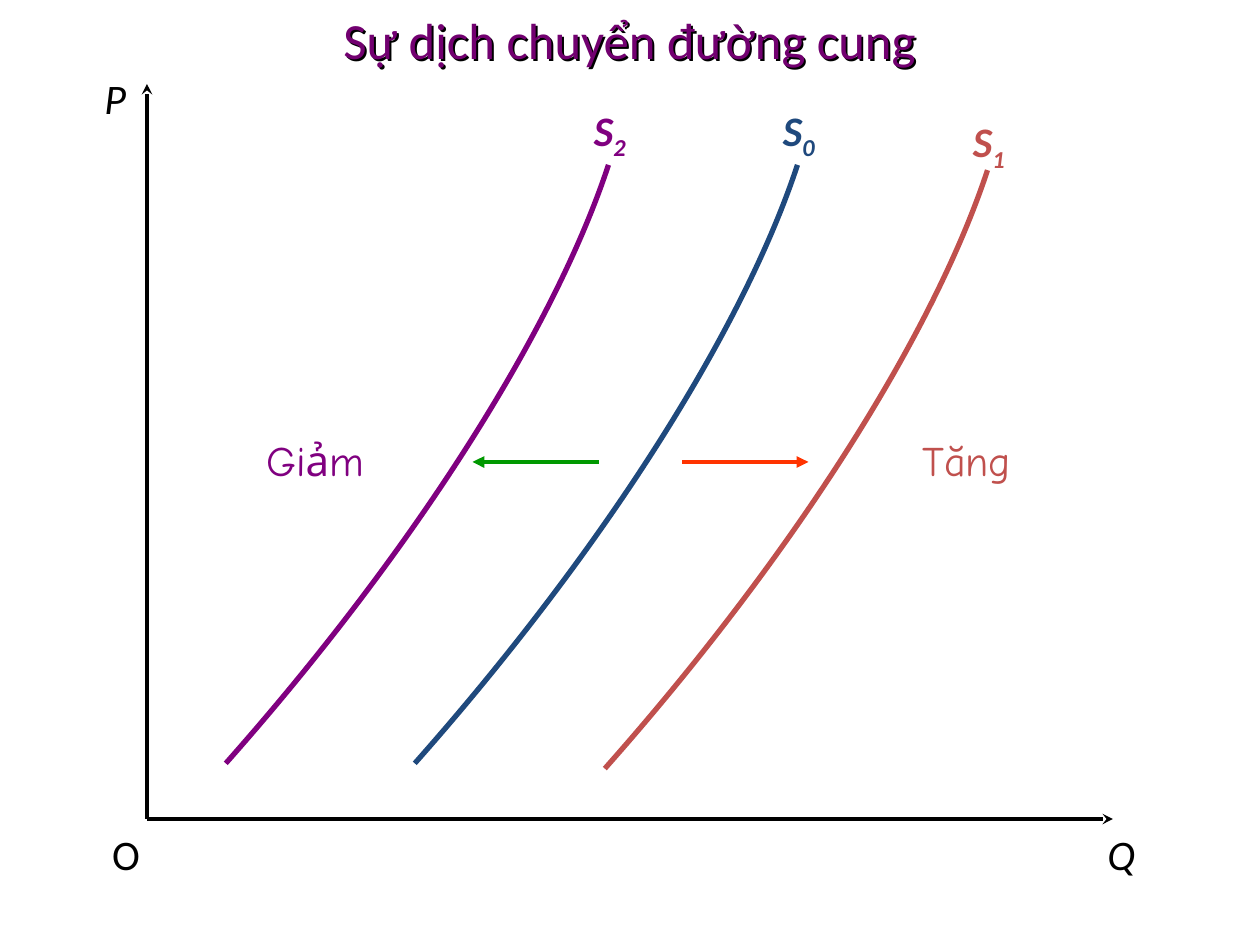
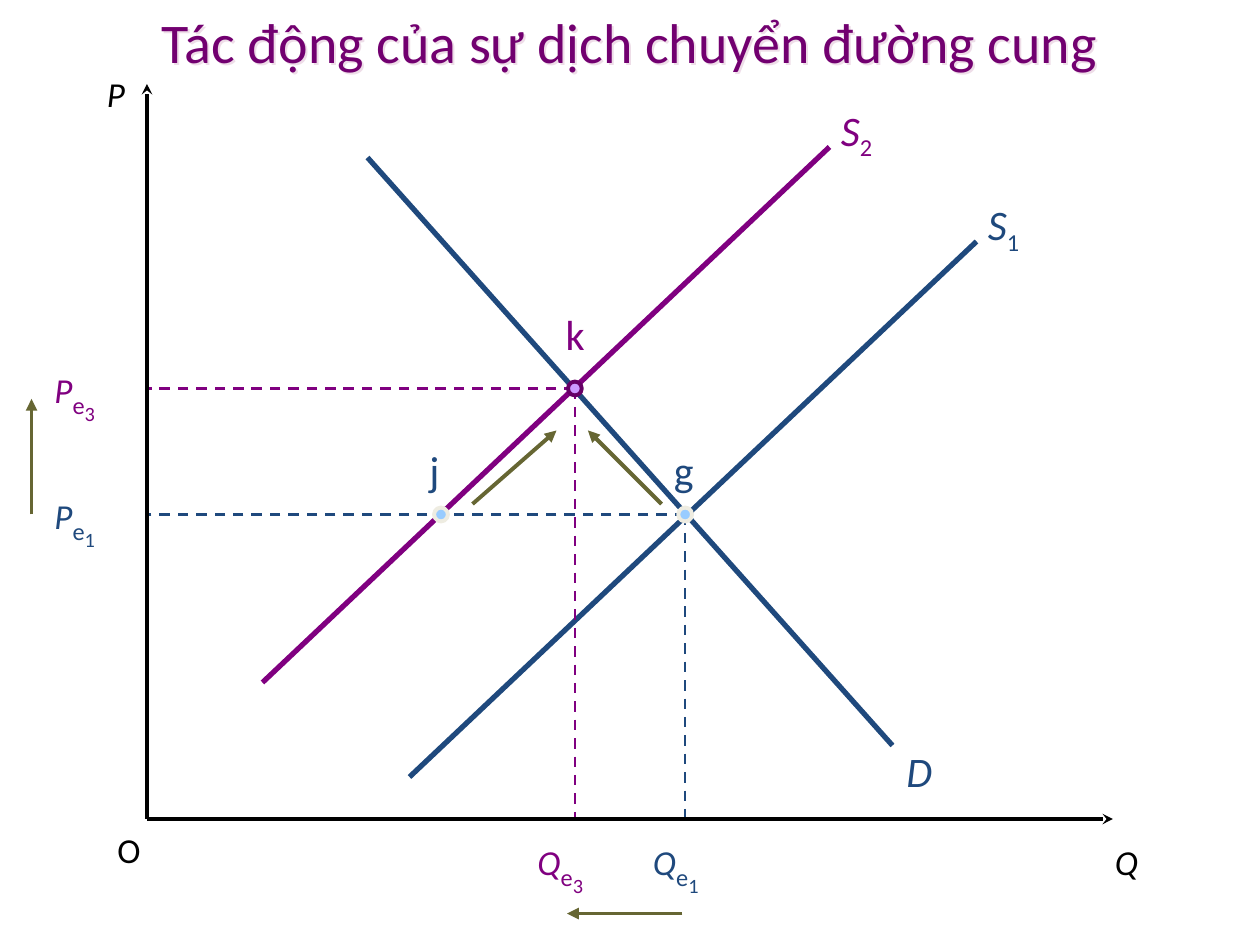
from collections import namedtuple

from lxml.etree import SubElement
from pptx import Presentation
from pptx.dml.color import RGBColor
from pptx.enum.dml import MSO_LINE
from pptx.enum.shapes import MSO_CONNECTOR, MSO_SHAPE
from pptx.enum.text import MSO_ANCHOR, MSO_AUTO_SIZE, PP_ALIGN
from pptx.oxml.ns import qn
from pptx.util import Inches, Pt

BLACK = RGBColor(0x00, 0x00, 0x00)
TITLE = RGBColor(0x72, 0x00, 0x70)
TITLE_GLOW = RGBColor(0xEE, 0xDD, 0xE8)
PURPLE = RGBColor(0x80, 0x00, 0x80)
NAVY = RGBColor(0x1F, 0x49, 0x7D)
BRICK = RGBColor(0xC0, 0x50, 0x4D)
ORANGE = RGBColor(0xFF, 0x33, 0x00)
GREEN = RGBColor(0x00, 0x99, 0x00)
OLIVE = RGBColor(0x66, 0x66, 0x33)
SKY = RGBColor(0x99, 0xCC, 0xFF)
CREAM = RGBColor(0xEE, 0xEC, 0xE1)
LILAC = RGBColor(0xCC, 0x99, 0xFF)
PLUM = RGBColor(0x66, 0x00, 0x66)

FONT, HAND_FONT = "Calibri", "Comic Neue"
SLIDE_W, SLIDE_H = Inches(10), Inches(7.5)

# The slide is a grid of 120 columns by 90 rows of square cells
CELL = SLIDE_W // 120
Box = namedtuple("Box", "left top width height")
PLOT = Box(14, 8, 92, 70)


def place(box, col, row):
    """Position on the slide of a cell counted from the box's corner."""
    return round((box.left + col) * CELL), round((box.top + row) * CELL)


def add_title(slide, text, size, height, shadow):
    sp = slide.shapes.title
    sp.left, sp.top, sp.width, sp.height = 0, 0, SLIDE_W, height
    sp.fill.background()
    tf = sp.text_frame
    tf.text = text
    tf.auto_size = MSO_AUTO_SIZE.NONE
    tf.vertical_anchor = MSO_ANCHOR.MIDDLE
    p = tf.paragraphs[0]
    p.alignment = PP_ALIGN.CENTER
    p.font.name, p.font.size = FONT, Pt(size)
    p.font.color.rgb = TITLE
    # Hard offset shadow behind the letters
    effects = SubElement(sp._element.spPr, qn("a:effectLst"))
    outer = SubElement(effects, qn("a:outerShdw"), dist=str(Pt(1.6)), dir="2700000")
    SubElement(outer, qn("a:srgbClr"), val=str(shadow))


def add_line(slide, box, start, end, color, width, head=None, dashed=False):
    line = slide.shapes.add_connector(
        MSO_CONNECTOR.STRAIGHT, *place(box, *start), *place(box, *end))
    line.line.color.rgb = color
    line.line.width = Pt(width)
    if dashed:
        line.line.dash_style = MSO_LINE.DASH
    if head:
        SubElement(line.line._get_or_add_ln(), qn("a:tailEnd"), type=head)
    SubElement(line._element.spPr, qn("a:effectLst"))


def add_curve(slide, box, points, color):
    """Cubic curve from its end points and two control points."""
    start, *rest = [place(box, *point) for point in points]
    builder = slide.shapes.build_freeform(*start)
    builder.add_line_segments(rest, close=False)
    sp = builder.convert_to_shape()
    # Turn the three segments into one Bézier segment
    path = next(sp._element.iter(qn("a:path")))
    segments = path.findall(qn("a:lnTo"))
    bezier = SubElement(path, qn("a:cubicBezTo"))
    for segment in segments:
        bezier.append(segment[0])
        path.remove(segment)
    sp.fill.background()
    sp.line.color.rgb = color
    sp.line.width = Pt(3)
    sp.shadow.inherit = False


def add_label(slide, box, pos, width, parts, color, size=24, font=FONT,
              bold=False, center=False):
    """Text whose parts are (text, size, italic, baseline percent)."""
    sp = slide.shapes.add_textbox(
        *place(box, *pos), round(width * CELL), round(size / 4 * CELL))
    tf = sp.text_frame
    tf.word_wrap = not center
    p = tf.paragraphs[0]
    p.alignment = PP_ALIGN.CENTER if center else PP_ALIGN.LEFT
    p.font.name, p.font.bold = font, bold
    p.font.color.rgb = color
    for text, part_size, italic, baseline in parts:
        r = p.add_run()
        r.text = text
        r.font.size, r.font.italic = Pt(part_size), italic
        if baseline:
            r._r.get_or_add_rPr().set("baseline", str(baseline * 1000))


def plain(text, size=24, italic=False):
    return [(text, size, italic, 0)]


def indexed(letter, index, italic_index=False):
    return [(letter, 24, True, 0), (index, 24, italic_index, -25)]


def equilibrium(letter, index):
    return [(letter, 20, True, 0), ("e", 24, False, -25), (index, 20, False, -50)]


def add_axes(slide, box, size, names, center):
    origin = (0, box.height)
    for end in ((0, 0), (box.width, box.height)):
        add_line(slide, box, origin, end, BLACK, 2, "stealth")
    for name, pos, width in names:
        add_label(slide, box, pos, width, plain(name, size, name != "O"),
                  BLACK, size, center=center)


def add_dot(slide, box, pos, fill, outline):
    size = 1.32
    col, row = pos
    sp = slide.shapes.add_shape(
        MSO_SHAPE.OVAL, *place(box, col - size / 2, row - size / 2),
        round(size * CELL), round(size * CELL))
    sp.fill.solid()
    sp.fill.fore_color.rgb = fill
    sp.line.color.rgb = outline
    sp.line.width = Pt(2.25)
    sp.shadow.inherit = False


def supply_shift(slide, box):
    add_axes(slide, box, 24, [("P", (-5.24, -1.64), 4.44),
                              ("Q", (89.56, 70.36), 6.48),
                              ("O", (-4.52, 70.36), 5.04)], center=True)
    # Three parallel supply curves
    base = [(61.95, 7.7), (56.7, 23.65), (43.15, 44.8), (25.5, 64.7)]
    for index, color, dx, dy, label_top in (("0", NAVY, 0, 0, 1.36),
                                            ("1", BRICK, 18.1, 0.5, 2.44),
                                            ("2", PURPLE, -18, 0, 1.36)):
        add_curve(slide, box, [(x + dx, y + dy) for x, y in base], color)
        add_label(slide, box, (59.32 + dx, label_top), 5.52,
                  indexed("S", index, True), color, bold=True, center=True)
    # Directions of the shift
    add_line(slide, box, (51, 36), (63, 36), ORANGE, 2.25, "triangle")
    add_line(slide, box, (43, 36), (31, 36), GREEN, 2.25, "triangle")
    for text, left, width, color in (("Tăng", 72.64, 10.92, BRICK),
                                     ("Giảm", 10.12, 11.76, PURPLE)):
        add_label(slide, box, (left, 32.8), width, plain(text), color,
                  font=HAND_FONT, center=True)


def shift_effect(slide, box):
    # Demand and the two supply lines
    add_line(slide, box, (71, 63), (21, 7), NAVY, 3)
    add_label(slide, box, (71.08, 62.44), 4.92, plain("D", italic=True),
              NAVY, center=True)
    for index, color, dx, dy in (("1", NAVY, 0, 0), ("2", PURPLE, -14, -9)):
        add_line(slide, box, (79 + dx, 15 + dy), (25 + dx, 66 + dy), color, 3)
        add_label(slide, box, (78.88 + dx, 10.36 + dy), 5.4,
                  indexed("S", index), color, center=True)

    # Equilibria with their guides to both axes
    g, k, j = (51.25, 41), (40.75, 29), (28, 41)
    for (col, row), index, color, q_left in ((g, "1", NAVY, 47),
                                             (k, "3", PURPLE, 36)):
        add_line(slide, box, (col, row), (0, row), color, 1.5, dashed=True)
        add_line(slide, box, (col, row), (col, box.height), color, 1.5, dashed=True)
        for letter, pos in (("P", (-10, row - 3.16)), ("Q", (q_left, 70.84))):
            add_label(slide, box, pos, 9, equilibrium(letter, index), color, 20)

    add_axes(slide, box, 20, [("P", (-5, -1.64), 4.44),
                              ("Q", (91, 71.44), 4.68),
                              ("O", (-4, 70.36), 4.68)], center=False)

    # Directions of movement
    for start, end in (((-11, 41), (-11, 30)), ((51, 79), (40, 79)),
                       ((31, 40), (39, 33)), ((49, 40), (42, 33))):
        add_line(slide, box, start, end, OLIVE, 2.25, "triangle")

    # Named points
    for name, point, fill, outline, color, pos in (
            ("g", g, SKY, CREAM, NAVY, (49, 33.76)),
            ("j", j, SKY, CREAM, NAVY, (25.72, 33.76)),
            ("k", k, LILAC, PLUM, PURPLE, (38.68, 20.8))):
        add_dot(slide, box, point, fill, outline)
        add_label(slide, box, pos, 4.3, plain(name), color)


def main():
    prs = Presentation()
    prs.slide_width, prs.slide_height = SLIDE_W, SLIDE_H
    for text, size, height, shadow, draw in (
            ("Sự dịch chuyển đường cung", 29, Inches(0.62), BLACK, supply_shift),
            ("Tác động của sự dịch chuyển đường cung", 32, Inches(0.65),
             TITLE_GLOW, shift_effect)):
        slide = prs.slides.add_slide(prs.slide_layouts[5])
        add_title(slide, text, size, height, shadow)
        draw(slide, PLOT)
    prs.save("out.pptx")


if __name__ == "__main__":
    main()
